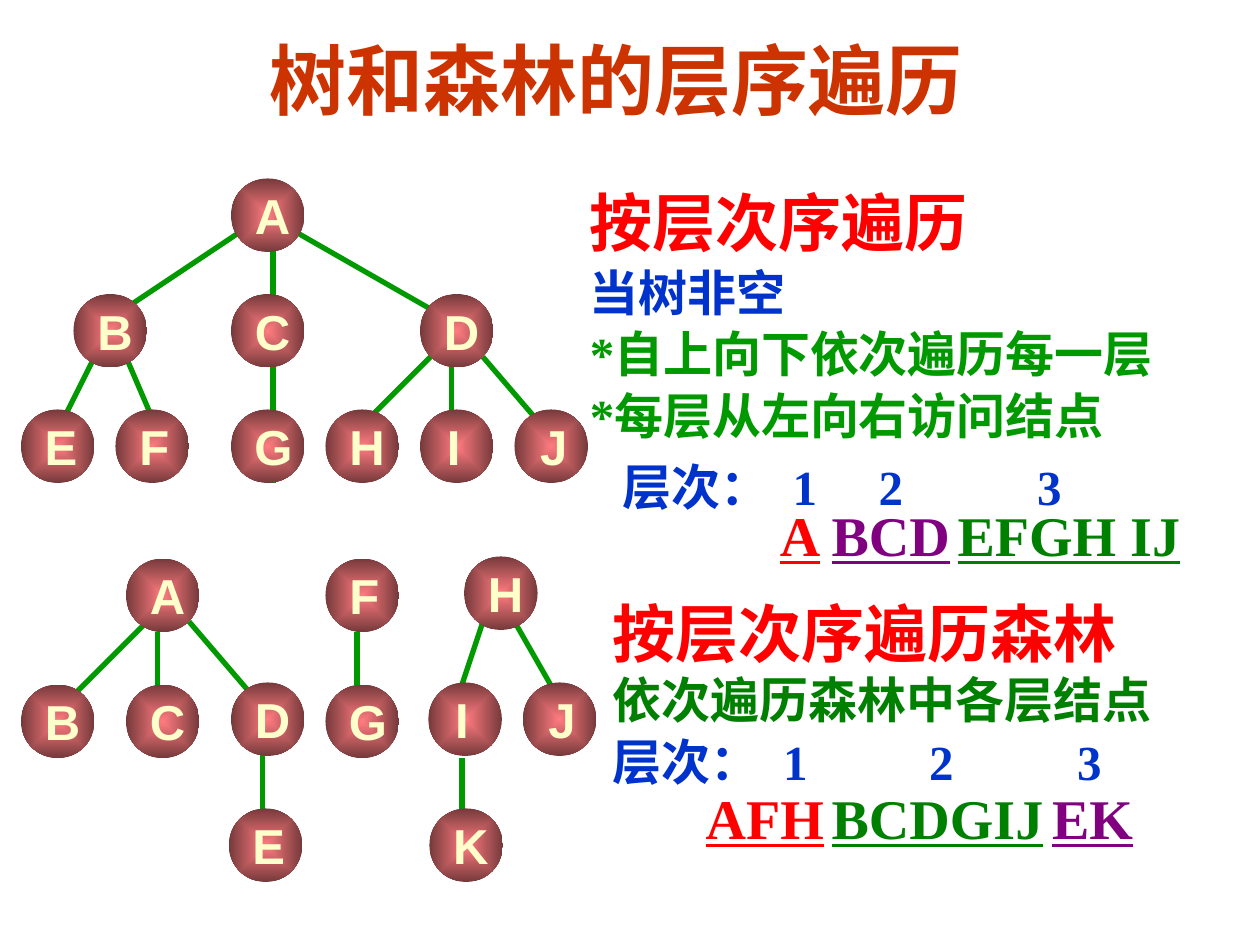
from dataclasses import dataclass
from typing import Optional

from lxml import etree
from pptx import Presentation
from pptx import util as u
from pptx.dml.color import RGBColor
from pptx.enum import lang, shapes, text
from pptx.oxml import ns

COLUMNS, ROWS = 120, 90
SLIDE_WIDTH, SLIDE_HEIGHT = u.Inches(10), u.Inches(7.5)

RUST = RGBColor(0xCC, 0x33, 0x00)
RED = RGBColor(0xFF, 0x00, 0x00)
BLUE = RGBColor(0x00, 0x33, 0xCC)
LEAF = RGBColor(0x00, 0x99, 0x00)
GREEN = RGBColor(0x00, 0x80, 0x00)
PURPLE = RGBColor(0x80, 0x00, 0x80)
CREAM = RGBColor(0xFF, 0xFF, 0xCC)
ROSE = RGBColor(0xFF, 0x7C, 0x80)
MAROON = RGBColor(0x76, 0x39, 0x3B)

SANS, SERIF = "Arial", "Times New Roman"
NODE_SIZE = 7
LETTER_WIDTHS = {"E": 5.5, "F": 5.3, "G": 6, "I": 3.7, "J": 4.9}
LETTER_SHIFTS = {"I": 1.35, "J": 1.25}


@dataclass(frozen=True)
class Box:
    left: float
    top: float
    width: float
    height: float


@dataclass(frozen=True)
class Line:
    words: str
    size: float
    color: RGBColor
    font: str = SERIF
    underline: Optional[bool] = None
    spacing: Optional[float] = None
    before: float = 0
    tabs: tuple[float, ...] = ()


@dataclass(frozen=True)
class Node:
    letter: str
    left: float
    top: float


@dataclass(frozen=True)
class Edge:
    x1: float
    y1: float
    x2: float
    y2: float


@dataclass(frozen=True)
class Visit:
    letters: str
    left: float
    top: float
    width: float
    color: RGBColor


TREE_NODES = [
    Node("A", 22, 17),
    Node("B", 7, 28), Node("C", 22, 28), Node("D", 40, 28),
    Node("E", 2, 39), Node("F", 11, 39), Node("G", 22, 39),
    Node("H", 31, 39), Node("I", 40, 39), Node("J", 49, 39),
]
TREE_EDGES = [
    Edge(46, 34, 52, 41), Edge(41, 34, 35, 40), Edge(43, 35, 43, 40),
    Edge(28, 22, 42, 30), Edge(23, 22, 11, 30), Edge(26, 23, 26, 46),
    Edge(12, 34, 15, 41), Edge(9, 34, 6, 40),
]
FOREST_NODES = [
    Node("A", 12, 53.2), Node("F", 31, 53.2), Node("H", 44.2, 53),
    Node("B", 2, 65.2), Node("C", 12, 65.2), Node("D", 22, 65),
    Node("G", 31, 65.2), Node("I", 40.8, 65), Node("J", 49.8, 65),
    Node("E", 21.8, 77), Node("K", 40.9, 77),
]
FOREST_EDGES = [
    Edge(49, 59.2, 53, 66.2), Edge(46, 59.2, 44, 65.2), Edge(44, 72.2, 44, 77.2),
    Edge(18, 59.2, 24, 66.2), Edge(14, 59.2, 7, 66.2), Edge(15, 60.2, 15, 66.2),
    Edge(34, 60.2, 34, 65.2), Edge(25, 71.2, 25, 77.2),
]
VISITS = [
    Visit("A", 73.1, 47, 6.2, RED),
    Visit("BCD", 78, 47, 13.7, PURPLE),
    Visit("EFGH IJ", 90, 47, 23.6, GREEN),
    Visit("AFH", 66, 74, 13.7, RED),
    Visit("BCDGIJ", 78, 74, 22.6, GREEN),
    Visit("EK", 99, 74, 10.1, PURPLE),
]
TREE_NOTES = [
    Line("按层次序遍历", 36, RED, spacing=1.05),
    Line("当树非空", 28, BLUE, spacing=1.05),
    Line("*自上向下依次遍历每一层", 28, LEAF, spacing=1.05),
    Line("*每层从左向右访问结点", 28, LEAF, spacing=1.05),
    Line("\t层次：\t1\t2\t3", 28, BLUE, spacing=1.05, before=5,
         tabs=(3.1, 19.3, 27.5, 42.6)),
]
FOREST_NOTES = [
    Line("按层次序遍历森林", 36, RED),
    Line("依次遍历森林中各层结点", 28, GREEN),
    Line("层次：\t1\t2\t3", 28, BLUE, spacing=1.05, tabs=(16.2, 30.1, 44.2)),
]


def col(count: float) -> int:
    return round(SLIDE_WIDTH * count / COLUMNS)


def row(count: float) -> int:
    return round(SLIDE_HEIGHT * count / ROWS)


def write(parent, box: Box, lines: list[Line], centered: bool = False) -> None:
    frame = parent.add_textbox(
        col(box.left), row(box.top), col(box.width), row(box.height)).text_frame
    frame.word_wrap = not centered
    frame.vertical_anchor = text.MSO_ANCHOR.MIDDLE
    if not centered:
        frame.margin_right = 0
    for index, line in enumerate(lines):
        paragraph = frame.add_paragraph() if index else frame.paragraphs[0]
        if line.tabs:
            stops = etree.SubElement(
                paragraph._p.get_or_add_pPr(), ns.qn("a:tabLst"))
            for stop in line.tabs:
                etree.SubElement(
                    stops, ns.qn("a:tab"), pos=str(col(stop)), algn="l")
        if line.spacing:
            paragraph.line_spacing = line.spacing
        if line.before:
            paragraph.space_before = u.Pt(line.before)
        paragraph.alignment = (
            text.PP_ALIGN.CENTER if centered else text.PP_ALIGN.LEFT)
        run = paragraph.add_run()
        run.text = line.words
        run.font.name = line.font
        run.font.size = u.Pt(line.size)
        run.font.bold = True
        run.font.underline = line.underline
        run.font.color.rgb = line.color
        run.font.language_id = lang.MSO_LANGUAGE_ID.SIMPLIFIED_CHINESE


def draw_edge(parent, edge: Edge) -> None:
    branch = parent.add_connector(
        shapes.MSO_CONNECTOR.STRAIGHT,
        col(edge.x1), row(edge.y1), col(edge.x2), row(edge.y2))
    branch.line.color.rgb = LEAF
    branch.line.width = u.Pt(3)
    etree.SubElement(branch._element.spPr, ns.qn("a:effectLst"))


def draw_node(parent, node: Node) -> None:
    ball = parent.add_shape(
        shapes.MSO_SHAPE.OVAL,
        col(node.left), row(node.top), col(NODE_SIZE), row(NODE_SIZE))
    ball.shadow.inherit = False
    ball.line.fill.background()
    ball.fill.gradient()
    for stop, color in zip(ball.fill.gradient_stops, (ROSE, MAROON)):
        stop.color.rgb = color
    gradient = ball._element.spPr.find(ns.qn("a:gradFill"))
    gradient.remove(gradient.find(ns.qn("a:lin")))
    glow = etree.SubElement(gradient, ns.qn("a:path"), path="rect")
    etree.SubElement(glow, ns.qn("a:fillToRect"),
                     {side: "50000" for side in "ltrb"})


def draw_label(parent, node: Node) -> None:
    box = Box(node.left + LETTER_SHIFTS.get(node.letter, 1.05), node.top + 0.1,
              LETTER_WIDTHS.get(node.letter, 5.8), 6.8)
    write(parent, box, [Line(node.letter, 28, CREAM, SANS)], centered=True)


def draw_graph(slide, nodes: list[Node], edges: list[Edge]) -> None:
    parent = slide.shapes.add_group_shape().shapes
    for edge in edges:
        draw_edge(parent, edge)
    for node in nodes:
        draw_node(parent, node)
    for node in nodes:
        draw_label(parent, node)


def main() -> None:
    deck = Presentation()
    deck.slide_width, deck.slide_height = SLIDE_WIDTH, SLIDE_HEIGHT
    slide = deck.slides.add_slide(deck.slide_layouts[6])
    write(slide.shapes, Box(24.5, 3, 71, 9),
          [Line("树和森林的层序遍历", 44, RUST, SANS)])
    write(slide.shapes, Box(55, 12.2, 65, 41.8), TREE_NOTES)
    write(slide.shapes, Box(57.2, 56, 53.6, 19.9), FOREST_NOTES)
    for visit in VISITS:
        write(slide.shapes, Box(visit.left, visit.top, visit.width, 7.7),
              [Line(visit.letters, 32, visit.color, underline=True)],
              centered=True)
    draw_graph(slide, TREE_NODES, TREE_EDGES)
    draw_graph(slide, FOREST_NODES, FOREST_EDGES)
    deck.save("out.pptx")


if __name__ == "__main__":
    main()
